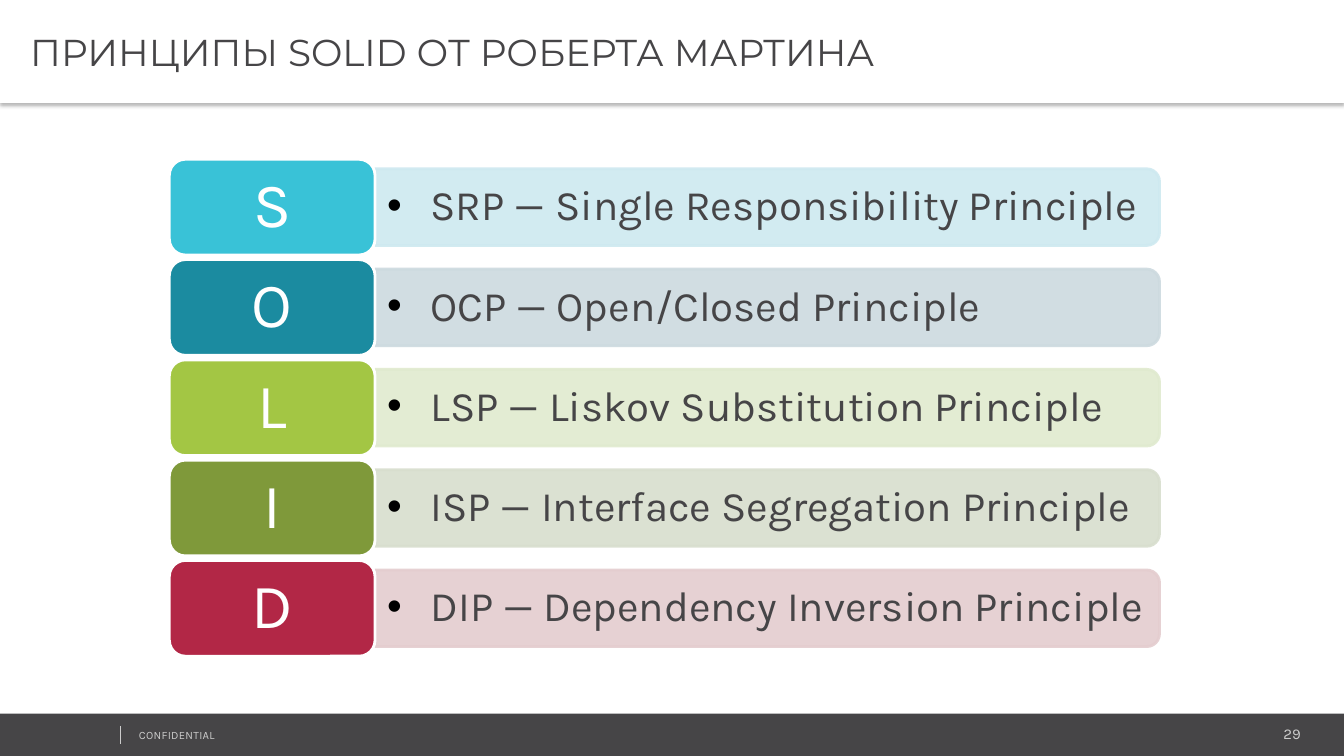
"""Build the slide on the five SOLID principles."""
from dataclasses import dataclass

import pptx
import pptx.dml.color
import pptx.enum.shapes
import pptx.enum.text
import pptx.oxml
import pptx.oxml.ns
import pptx.util

Inches = pptx.util.Inches
Pt = pptx.util.Pt
Kind = pptx.enum.shapes.MSO_SHAPE
Align = pptx.enum.text.PP_ALIGN
Anchor = pptx.enum.text.MSO_ANCHOR

TITLE = "ПРИНЦИПЫ SOLID ОТ РОБЕРТА МАРТИНА"
ROWS = [
    ("S", "SRP — Single Responsibility Principle", "39C2D7", "CEE9F0"),
    ("O", "OCP — Open/Closed Principle", "1B8BA0", "CDDADF"),
    ("L", "LSP — Liskov Substitution Principle", "A3C644", "E0EACF"),
    ("I", "ISP — Interface Segregation Principle", "7F993A", "D8DECE"),
    ("D", "DIP — Dependency Inversion Principle", "B22746", "E4CDCF"),
]
NOTE = "CONFIDENTIAL"
PAGE = "29"


@dataclass
class Theme:
    """Colours, fonts and type sizes."""
    dark: str = "464547"
    white: str = "FFFFFF"
    pale: str = "CCCCCC"
    black: str = "000000"
    head: str = "Montserrat"
    body: str = "Karla"
    title: float = 26.7
    letter: float = 45
    item: float = 30
    page: float = 10.7
    note: float = 8


LOOK = Theme()
WIDE, HIGH = 13.33, 7.5
LEFT, TOP, STEP = 1.68, 1.58, 0.995
TILE_W, TILE_H = 2.04, 0.95
BAR_X, BAR_W, BAR_H = 3.72, 7.78, 0.76
HANG = 0.43


def rgb(code):
    """Turn a hex code into a colour."""
    return pptx.dml.color.RGBColor.from_string(code)


def xml(tag, attrs="", inner=""):
    """Make a drawing element."""
    space = pptx.oxml.ns.nsdecls("a")
    return pptx.oxml.parse_xml(f"<a:{tag} {space} {attrs}>{inner}</a:{tag}>")


def write(shape, text, size, color, font=LOOK.body, align=Align.LEFT,
          anchor=Anchor.TOP, inset=(0.1, 0.05, 0.1, 0.05), lead=None,
          track=None, bullet=False):
    """Put one formatted paragraph into a shape."""
    frame = shape.text_frame
    frame.word_wrap = True
    frame.auto_size = pptx.enum.text.MSO_AUTO_SIZE.NONE
    frame.vertical_anchor = anchor
    (frame.margin_left, frame.margin_top,
     frame.margin_right, frame.margin_bottom) = map(Inches, inset)
    para = frame.paragraphs[0]
    para.alignment = align
    if lead:
        para.line_spacing = lead
    run = para.add_run()
    run.text = text
    run.font.size = Pt(size)
    run.font.name = font
    run.font.color.rgb = rgb(color)
    if track:
        run.font._element.set("spc", str(track))
    if bullet:
        props = para._p.get_or_add_pPr()
        props.set("marL", str(Inches(HANG)))
        props.set("indent", str(-Inches(HANG)))
        props.append(xml("buClr", inner=f'<a:srgbClr val="{LOOK.black}"/>'))
        props.append(xml("buFont", 'typeface="Arial"'))
        props.append(xml("buChar", 'char="•"'))


def block(shapes, kind, place, fill, edge=None, alpha=None):
    """Add a filled shape with an optional edge and opacity."""
    shape = shapes.add_shape(kind, *map(Inches, place))
    shape.shadow.inherit = False
    shape.fill.solid()
    shape.fill.fore_color.rgb = rgb(fill)
    if edge:
        shape.line.color.rgb = rgb(edge)
        shape.line.width = Pt(2)
    else:
        shape.line.fill.background()
    if alpha:
        for node in shape._element.spPr.iter(pptx.oxml.ns.qn("a:srgbClr")):
            node.append(xml("alpha", f'val="{alpha * 1000}"'))
    return shape


def box(shapes, *place):
    """Add a text box."""
    return shapes.add_textbox(*map(Inches, place))


def header(slide):
    """Format the title band and its shadow."""
    title = slide.shapes.title
    title.left, title.top = Inches(0), Inches(0)
    title.width, title.height = Inches(WIDE), Inches(1.02)
    title.fill.solid()
    title.fill.fore_color.rgb = rgb(LOOK.white)
    title.shadow.inherit = False
    shade = xml(
        "outerShdw",
        f'blurRad="{Pt(3.1)}" dist="{Pt(2)}" dir="5400000" algn="t"',
        f'<a:srgbClr val="{LOOK.black}"><a:alpha val="30000"/></a:srgbClr>')
    title._element.spPr.find(pptx.oxml.ns.qn("a:effectLst")).append(shade)
    write(title, TITLE, LOOK.title, LOOK.dark, font=LOOK.head,
          anchor=Anchor.MIDDLE, inset=(0.3, 0.04, 0.07, 0.04))


def footer(shapes):
    """Draw the dark band with its note, rule and page number."""
    block(shapes, Kind.RECTANGLE, (0, 7.08, WIDE, HIGH - 7.08), LOOK.dark)
    write(box(shapes, 10.82, 7.14, 2.18, 0.28), PAGE, LOOK.page, LOOK.pale,
          align=Align.RIGHT)
    write(box(shapes, 1.28, 7.18, 3.38, 0.24), NOTE, LOOK.note, LOOK.pale,
          track=20)
    rule = shapes.add_connector(
        pptx.enum.shapes.MSO_CONNECTOR.STRAIGHT,
        *map(Inches, (1.19, 7.2, 1.19, 7.38)))
    rule.line.color.rgb = rgb(LOOK.pale)
    rule.line.width = Pt(0.25)
    rule._element.spPr.append(xml("effectLst"))


def row(shapes, top, letter, text, fill, tint):
    """Draw one principle: bar, wording and letter tile."""
    mid = top + TILE_H / 2
    bar = block(shapes, Kind.ROUND_2_SAME_RECTANGLE,
                (BAR_X + (BAR_W - BAR_H) / 2, mid - BAR_W / 2, BAR_H, BAR_W),
                tint, edge=tint, alpha=90)
    bar.rotation = 90
    write(box(shapes, BAR_X, mid - 0.34, BAR_W, 0.68), text, LOOK.item,
          LOOK.dark, anchor=Anchor.MIDDLE, inset=(0.12, 0.06, 0.12, 0.06),
          lead=0.9, bullet=True)
    tile = block(shapes, Kind.ROUNDED_RECTANGLE, (LEFT, top, TILE_W, TILE_H),
                 fill, edge=LOOK.white)
    write(tile, letter, LOOK.letter, LOOK.white, align=Align.CENTER,
          anchor=Anchor.MIDDLE, inset=(0.19, 0.09, 0.19, 0.09), lead=0.9)


def main():
    """Assemble and save the slide."""
    deck = pptx.Presentation()
    deck.slide_width, deck.slide_height = Inches(WIDE), Inches(HIGH)
    slide = deck.slides.add_slide(deck.slide_layouts[5])
    header(slide)
    footer(slide.shapes)
    for num, parts in enumerate(ROWS):
        row(slide.shapes, TOP + num * STEP, *parts)
    deck.save("out.pptx")


if __name__ == "__main__":
    main()
